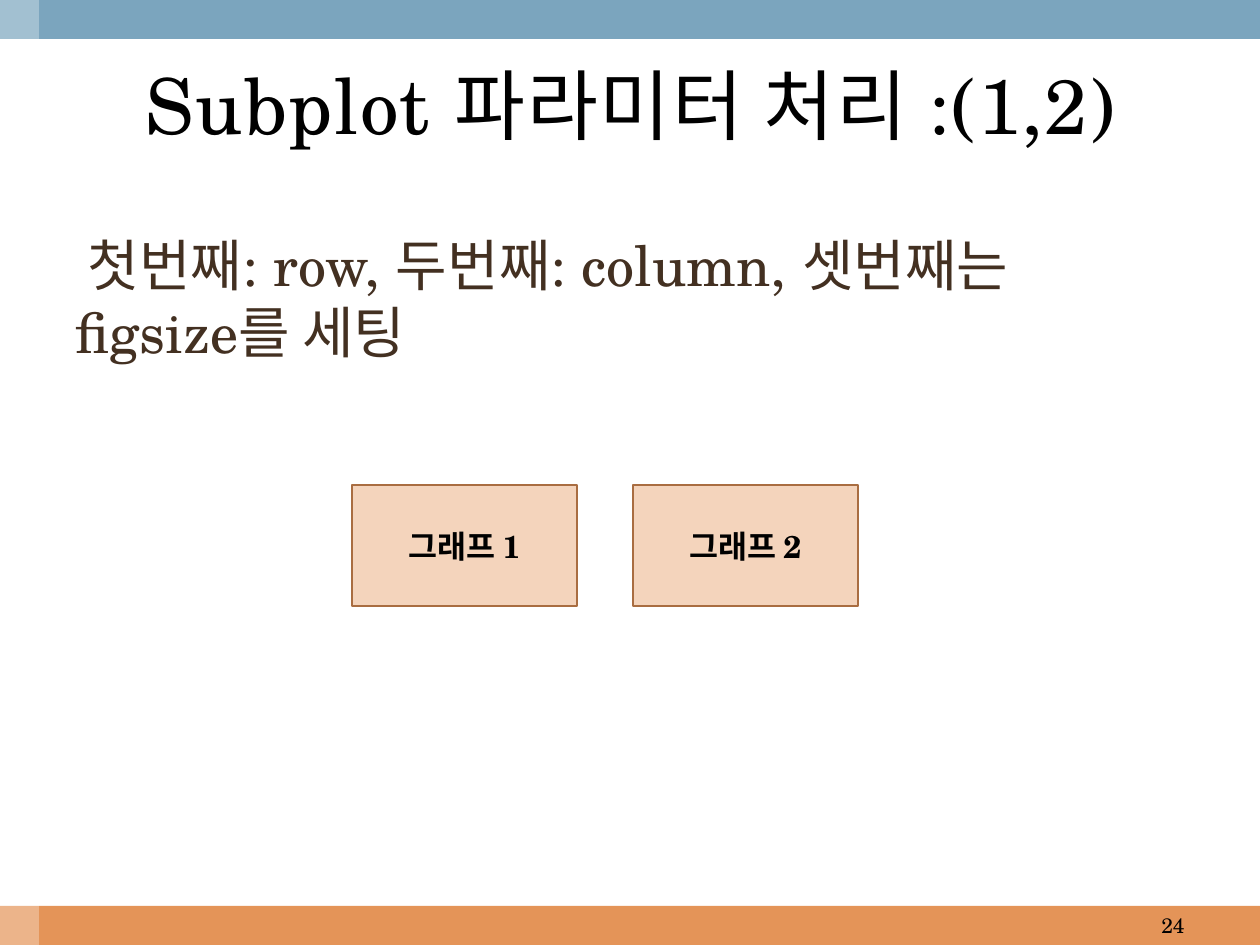
"""Build a slide on the parameters of a one-by-two subplot."""
from lxml import etree
from pptx import Presentation
from pptx import util as u
from pptx.dml.color import RGBColor
from pptx.enum import shapes, text
from pptx.oxml.ns import qn

SCALE = 914400 / 126
WIDTH, HEIGHT, BAR = 1260, 945, 39
FONT = "TeX Gyre Schola"
TITLE = "Subplot 파라미터 처리 :(1,2)"
BODY = " 첫번째: row, 두번째: column, 셋번째는\vfigsize를 세팅"
PAGE_NUMBER = "24"
GRAPHS = ["그래프 1", "그래프 2"]
GRAPH_LEFT, GRAPH_TOP, GRAPH_WIDTH, GRAPH_HEIGHT, GRAPH_STEP = 352, 485, 225, 121, 281
BARS = [
    ((0, HEIGHT - BAR, WIDTH, BAR), "E49458", None),
    ((0, 0, WIDTH, BAR), "7BA5BE", None),
    ((0, 0, BAR, HEIGHT), "FFFFFF", 30),
]


def px(*lengths):
    return [u.Emu(round(length * SCALE)) for length in lengths]


def color(value):
    return RGBColor.from_string(value)


def add_rectangle(page, place, fill, line=None, alpha=None):
    box = page.shapes.add_shape(shapes.MSO_SHAPE.RECTANGLE, *px(*place))
    box.shadow.inherit = False
    box.fill.solid()
    box.fill.fore_color.rgb = color(fill)
    if alpha is not None:
        tint = box.fill._xPr.find(qn("a:solidFill"))[0]
        etree.SubElement(tint, qn("a:alpha"), val=str(alpha * 1000))
    if line:
        box.line.color.rgb = color(line)
        box.line.width = u.Pt(1.25)
    else:
        box.line.fill.background()
    return box


def write(box, words, size, ink="000000", align="LEFT", anchor="MIDDLE",
          bold=False, spacing=None):
    frame = box.text_frame
    frame.word_wrap = True
    frame.vertical_anchor = getattr(text.MSO_ANCHOR, anchor)
    frame.text = words
    para = frame.paragraphs[0]
    para.alignment = getattr(text.PP_ALIGN, align)
    for span in para.runs:
        span.font.name = FONT
        span.font.size = u.Pt(size)
        span.font.bold = bold
        span.font.color.rgb = color(ink)
        if spacing:
            span.font._element.set("spc", str(spacing * 100))


def add_text(page, place, words, size, **style):
    write(page.shapes.add_textbox(*px(*place)), words, size, **style)


def main():
    deck = Presentation()
    deck.slide_width, deck.slide_height = px(WIDTH, HEIGHT)
    page = deck.slides.add_slide(deck.slide_layouts[6])
    for place, fill, alpha in BARS:
        add_rectangle(page, place, fill, alpha=alpha)
    add_text(page, (63, 224, 1134, 228), BODY, 32, ink="433021", anchor="TOP")
    add_text(page, (903, HEIGHT - BAR, 294, BAR), PAGE_NUMBER, 12, align="RIGHT")
    add_text(page, (41, BAR, 1179, 130), TITLE, 44, align="CENTER", spacing=1)
    for index, label in enumerate(GRAPHS):
        place = (GRAPH_LEFT + index * GRAPH_STEP, GRAPH_TOP, GRAPH_WIDTH, GRAPH_HEIGHT)
        box = add_rectangle(page, place, "F4D4BC", line="A96D41")
        write(box, label, 18, align="CENTER", bold=True)
    deck.save("out.pptx")


if __name__ == "__main__":
    main()
